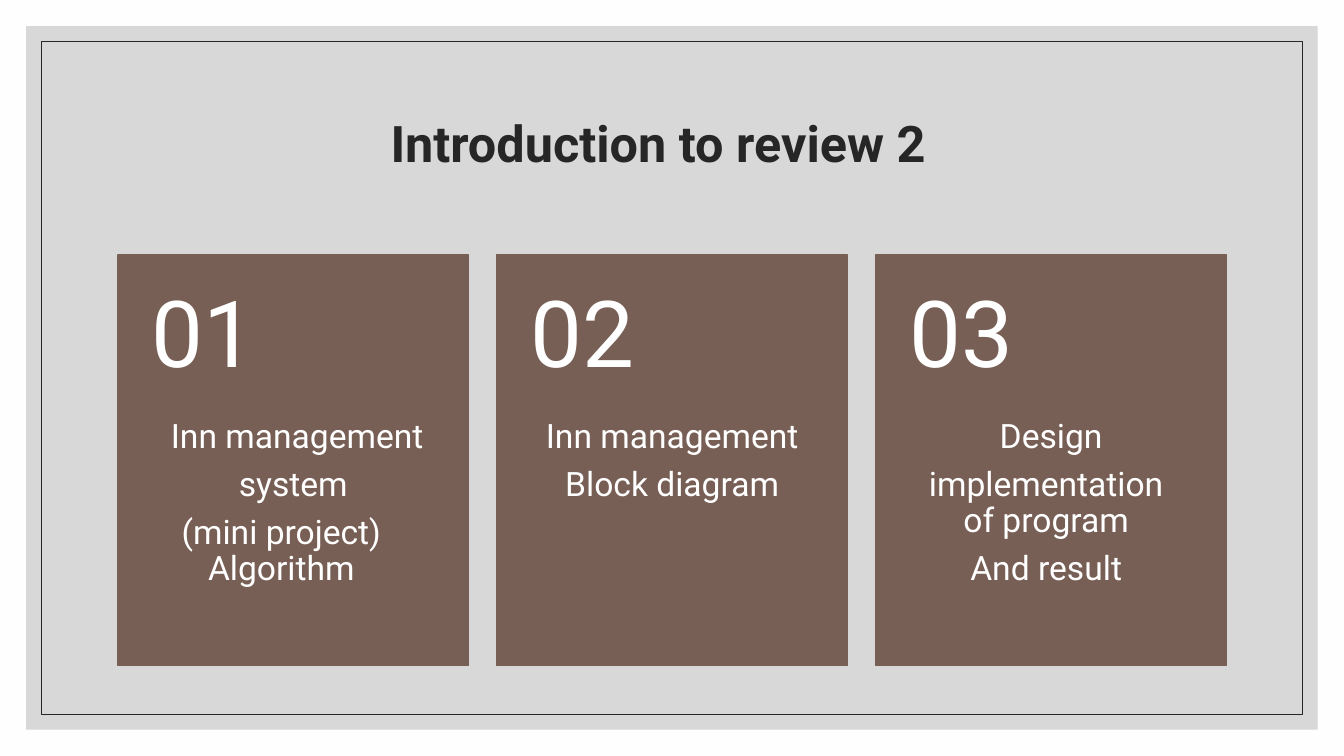
from lxml import etree
from pptx import Presentation
from pptx.dml.color import RGBColor
from pptx.enum import shapes, text
from pptx.oxml import ns
from pptx.util import Cm, Pt

PAPER = RGBColor(0xFE, 0xFE, 0xFE)
GREY = RGBColor(0xBF, 0xBF, 0xBF)
INK = RGBColor(0x26, 0x26, 0x26)
BROWN = RGBColor(0x77, 0x5F, 0x55)
WHITE = RGBColor(0xFF, 0xFF, 0xFF)
WIDE, HIGH = 33.87, 19.05

CARDS = [
    ("01", [("Inn management", 0.2), ("system", 0), ("(mini project)\vAlgorithm", -0.6)]),
    ("02", [("Inn management", 0), ("Block diagram", 0)]),
    ("03", [("Design", 0), ("implementation\vof program", -0.25), ("And result", 0)]),
]


def add_rect(slide, box, fill=None, line=None, width=1, alpha=None):
    """Draw a rectangle in a box of centimetres."""
    rect = slide.shapes.add_shape(
        shapes.MSO_SHAPE.RECTANGLE, *[Cm(n) for n in box])
    rect.shadow.inherit = False
    if fill is None:
        rect.fill.background()
    else:
        rect.fill.solid()
        rect.fill.fore_color.rgb = fill
    if line is None:
        rect.line.fill.background()
    else:
        rect.line.color.rgb = line
        rect.line.width = Pt(width)
    if alpha is not None:
        tint = rect.fill._xPr.find(".//" + ns.qn("a:srgbClr"))
        etree.SubElement(tint, ns.qn("a:alpha"), val=str(alpha * 1000))


def add_text(slide, box, lines, size, color, bold=False, after=0,
             align=text.PP_ALIGN.CENTER, anchor=text.MSO_ANCHOR.MIDDLE,
             inset=(0.25, 0.13, 0.25, 0.13)):
    """Write (words, shift) lines; a shift indents from the left, or right if negative."""
    frame = slide.shapes.add_textbox(*[Cm(n) for n in box]).text_frame
    frame.word_wrap = True
    frame.vertical_anchor = anchor
    (frame.margin_left, frame.margin_top,
     frame.margin_right, frame.margin_bottom) = [Cm(n) for n in inset]
    for i, (words, shift) in enumerate(lines):
        para = frame.add_paragraph() if i else frame.paragraphs[0]
        para.text = words
        para.alignment = align
        para.line_spacing = 0.9
        para.space_after = Pt(after)
        if shift:
            side = "marL" if shift > 0 else "marR"
            para._p.get_or_add_pPr().set(side, str(Cm(abs(shift))))
        for run in para.runs:
            run.font.name = "Roboto"
            run.font.size = Pt(size)
            run.font.bold = bold
            run.font.color.rgb = color


def add_frame(slide, wide, high):
    """Draw the grey panel and its thin inner border."""
    for gap, style in ((0.66, dict(fill=GREY, alpha=60)),
                       (1.04, dict(line=INK, width=0.5))):
        add_rect(slide, (gap, gap, wide - 2 * gap, high - 2 * gap), **style)


def add_card(slide, box, number, lines):
    """Draw a brown card with a number above its topic."""
    left, top, wide, high = box
    head = high * 0.4
    add_rect(slide, box, fill=BROWN, line=BROWN)
    add_text(slide, (left, top + head, wide, high - head), lines, 24, WHITE,
             after=8.4, anchor=text.MSO_ANCHOR.TOP, inset=(0.86, 0, 0.86, 0.91))
    add_text(slide, (left, top, wide, head), [(number, 0)], 66, WHITE,
             after=23.1, align=text.PP_ALIGN.LEFT, inset=(0.86, 0.46, 0.86, 0.46))


def add_row(slide, box, cards):
    """Place the cards side by side with equal gaps."""
    left, top, wide, high = box
    gap = 0.71
    each = (wide - gap * (len(cards) - 1)) / len(cards)
    for i, (number, lines) in enumerate(cards):
        add_card(slide, (left + i * (each + gap), top, each, high), number, lines)


def main():
    """Build and save the slide."""
    deck = Presentation()
    deck.slide_width, deck.slide_height = Cm(WIDE), Cm(HIGH)
    slide = deck.slides.add_slide(deck.slide_layouts[6])
    slide.background.fill.solid()
    slide.background.fill.fore_color.rgb = PAPER
    add_frame(slide, WIDE, HIGH)
    add_text(slide, (2.97, 1.78, 27.94, 3.81), [("Introduction to review 2", -0.7)],
             36, INK, bold=True)
    add_row(slide, (2.97, 6.43, 27.94, 10.34), CARDS)
    deck.save("out.pptx")


if __name__ == "__main__":
    main()
